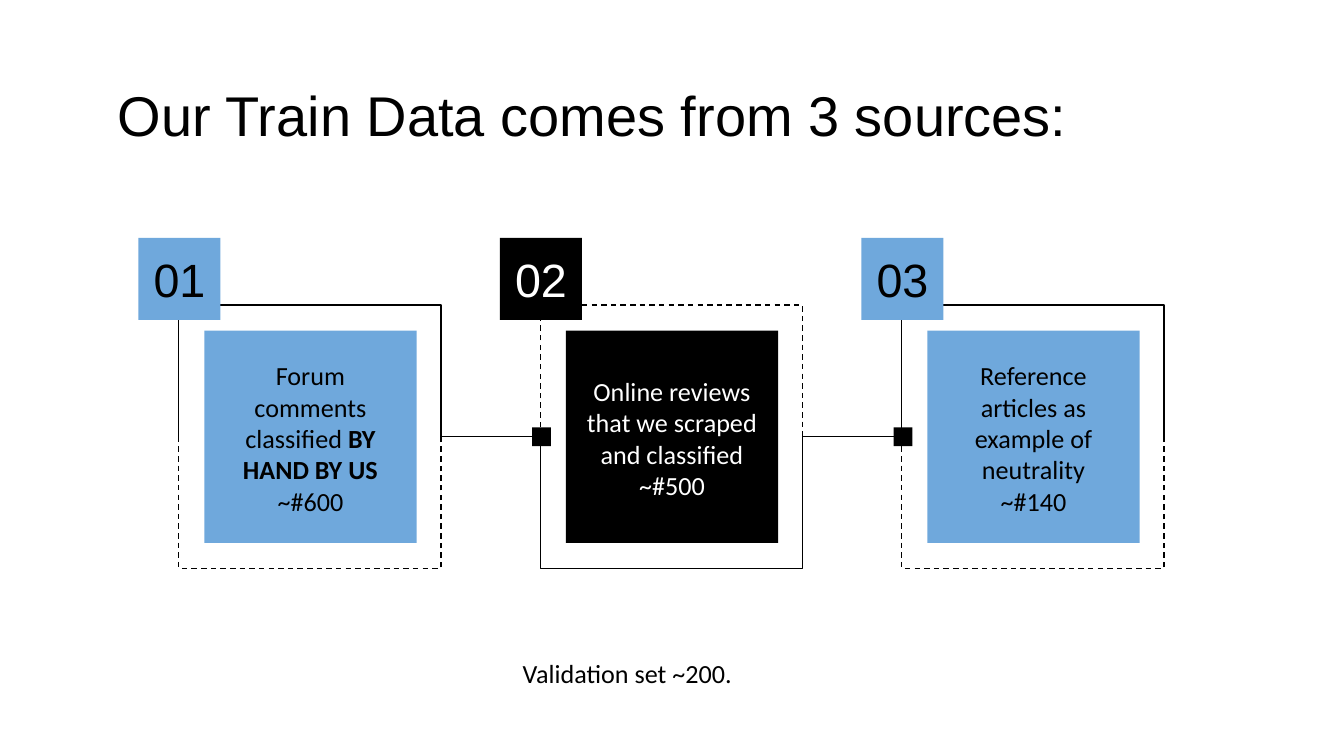
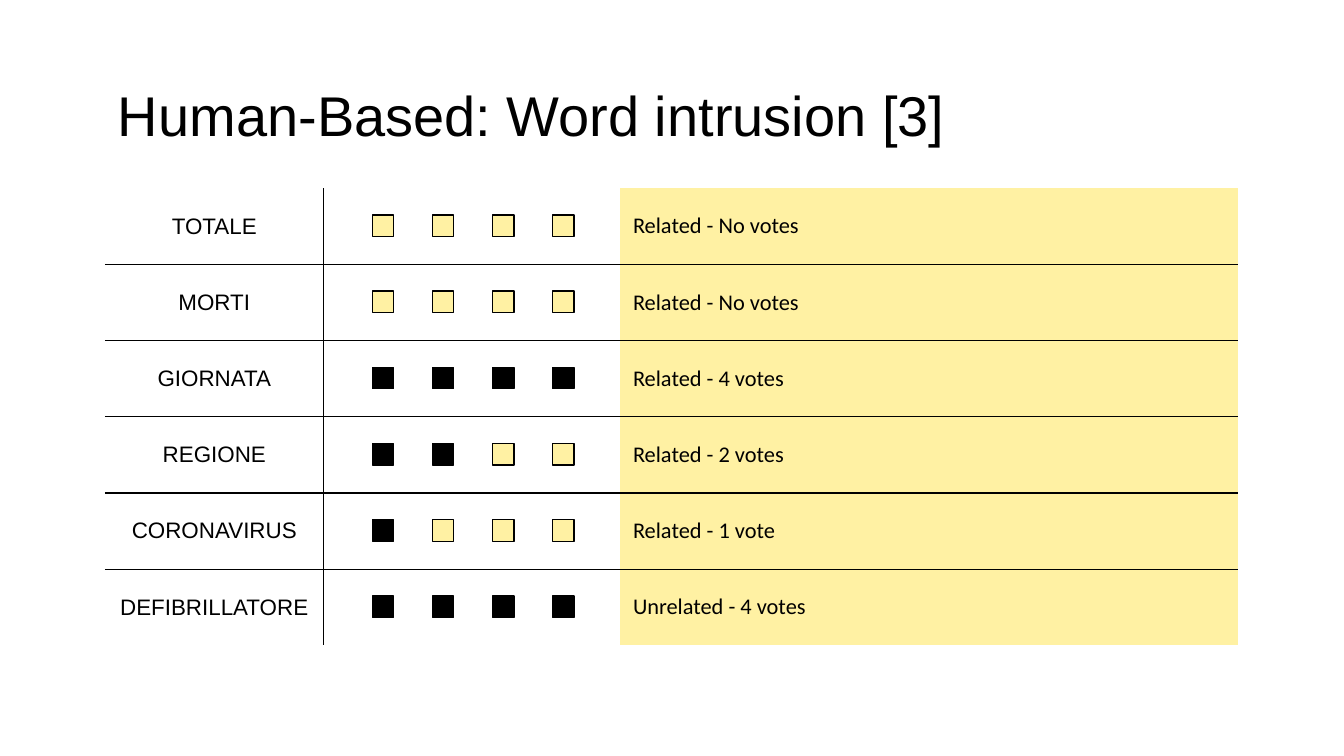
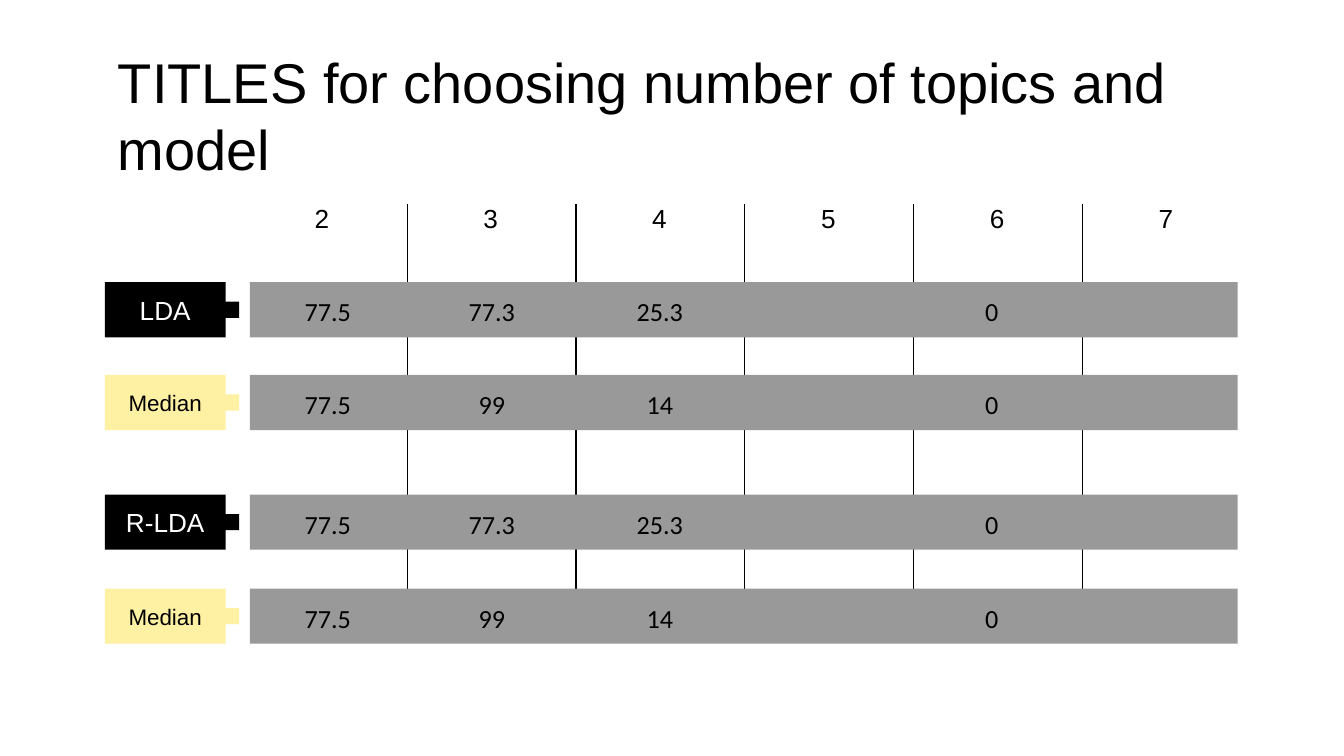
from lxml.etree import SubElement
from pptx import Presentation
from pptx.dml.color import RGBColor
from pptx.enum.dml import MSO_LINE as Dash
from pptx.enum.shapes import MSO_CONNECTOR as Conn, MSO_SHAPE as Kind
from pptx.enum.text import MSO_ANCHOR as Anchor, PP_ALIGN as Align
from pptx.oxml.ns import qn
from pptx.util import Inches, Pt

COLS, ROWS = 100, 56.25
INK, PAPER, BLUE, CREAM, GREY = "000000", "FFFFFF", "6FA8DC", "FFF1A3", "999999"
LINE = 0.75
LEFT, SPAN = 7.8, 84.3
HEAD = {"name": "Arial", "size": Pt(30)}
NUM = {"name": "Arial", "size": Pt(25)}
LABEL = {"name": "Arial", "size": Pt(14)}
SMALL = {"name": "Arial", "size": Pt(12)}
BODY = {"name": "Calibri", "size": Pt(14)}
NOTE = {"name": "Calibri", "size": Pt(12)}

STEPS = [
    ("01", BLUE, INK, ["Forum comments classified *BY HAND BY US*", "~#600"]),
    ("02", INK, PAPER, ["Online reviews that we scraped and classified", "~#500"]),
    ("03", BLUE, INK, ["Reference articles as example of neutrality", "~#140"]),
]
WORDS = [
    ("TOTALE", 0, "Related - No votes"),
    ("MORTI", 0, "Related - No votes"),
    ("GIORNATA", 4, "Related - 4 votes"),
    ("REGIONE", 2, "Related - 2 votes"),
    ("CORONAVIRUS", 1, "Related - 1 vote"),
    ("DEFIBRILLATORE", 4, "Unrelated - 4 votes"),
]
MEAN = ["77.5", "77.3", "25.3", "0"]
MEDIAN = ["77.5", "99", "14", "0"]
SCORES = [
    (21, "LDA", INK, PAPER, LABEL, MEAN),
    (27.9, "Median", CREAM, INK, SMALL, MEDIAN),
    (36.8, "R-LDA", INK, PAPER, LABEL, MEAN),
    (43.8, "Median", CREAM, INK, SMALL, MEDIAN),
]
SLOTS = [(18.6, 11.6), (30.3, 12.6), (43.3, 11.6), (55.4, 36.8)]


def grid(*cells):
    """Turn columns and rows of the slide grid into lengths."""
    return [Inches(cell / 10) for cell in cells]


def hue(code):
    """Return the colour for a hex string."""
    return RGBColor.from_string(code)


def apply(item, form):
    """Set attributes of an item from a dict."""
    for key, value in form.items():
        setattr(item, key, value)


def write(frame, paras, font, color=INK, align=Align.CENTER):
    """Fill a text frame; words between asterisks are bold."""
    for i, text in enumerate(paras):
        para = frame.paragraphs[0] if i == 0 else frame.add_paragraph()
        para.alignment = align
        for j, part in enumerate(text.split("*")):
            if part:
                run = para.add_run()
                run.text = part
                apply(run.font, {**font, "bold": j % 2 == 1})
                run.font.color.rgb = hue(color)


def pad(frame, anchor):
    """Give a text frame its margins, wrap and anchor."""
    sides = ("left", "right", "top", "bottom")
    apply(frame, {f"margin_{side}": Inches(0.1) for side in sides})
    apply(frame, {"word_wrap": True, "vertical_anchor": anchor})


def label(slide, area, paras, font, color=INK, align=Align.CENTER, anchor=Anchor.MIDDLE):
    """Add a text box."""
    frame = slide.shapes.add_textbox(*grid(*area)).text_frame
    pad(frame, anchor)
    write(frame, paras, font, color, align)


def block(slide, area, fill, edge=None):
    """Add a filled rectangle and return it."""
    shape = slide.shapes.add_shape(Kind.RECTANGLE, *grid(*area))
    shape.shadow.inherit = False
    shape.fill.solid()
    shape.fill.fore_color.rgb = hue(fill)
    if edge:
        stroke(shape.line, edge)
    else:
        shape.line.fill.background()
    return shape


def badge(slide, area, fill, text, font, color):
    """Add a rectangle with one centred line of text."""
    frame = block(slide, area, fill).text_frame
    pad(frame, Anchor.MIDDLE)
    write(frame, [text], font, color)


def stroke(line, color=INK, dash=None):
    """Style a line."""
    line.color.rgb = hue(color)
    apply(line, {"width": Pt(LINE), "dash_style": dash})


def link(slide, *ends):
    """Add a straight line between two points."""
    line = slide.shapes.add_connector(Conn.STRAIGHT, *grid(*ends))
    stroke(line.line)
    SubElement(line._element.spPr, qn("a:effectLst"))


def hook(slide, x, mid, edge, dash):
    """Add a half frame that opens at the middle row."""
    far = x + 19.5
    pen = slide.shapes.build_freeform(*grid(x, mid))
    pen.add_line_segments([grid(*spot) for spot in ((x, edge), (far, edge), (far, mid))], close=False)
    shape = pen.convert_to_shape()
    shape.shadow.inherit = False
    shape.fill.background()
    stroke(shape.line, dash=dash)


def border(cell, sides):
    """Draw the named sides of a cell and clear the rest."""
    props = cell._tc.get_or_add_tcPr()
    for side in "LRTB":
        line = SubElement(props, qn(f"a:ln{side}"), w=str(Pt(LINE)))
        if side in sides:
            fill = SubElement(line, qn("a:solidFill"))
            SubElement(fill, qn("a:srgbClr"), val=INK)
        else:
            SubElement(line, qn("a:noFill"))


def page(deck, title):
    """Add a blank slide with the shared title."""
    slide = deck.slides.add_slide(deck.slide_layouts[6])
    label(slide, (LEFT, 5.9, SPAN, 5.2), [title], HEAD, align=Align.LEFT)
    return slide


def flow(slide):
    """Draw the three linked sources."""
    gap, mid = 26.9, 32.5
    for i, (num, fill, color, paras) in enumerate(STEPS):
        x = 13.3 + i * gap
        block(slide, (x + 1.9, 24.6, 15.8, 15.8), fill)
        label(slide, (x + 1.9, 24.8, 15.8, 15.6), paras, BODY, color)
        dashes = (Dash.DASH, None) if i % 2 else (None, Dash.DASH)
        for edge, dash in zip((22.7, 42.3), dashes):
            hook(slide, x, mid, edge, dash)
        if i:
            link(slide, x - 7.4, mid, x, mid)
            block(slide, (x - 0.6, mid - 0.7, 1.4, 1.4), INK)
        badge(slide, (x - 3, 17.7, 6.1, 6.1), fill, num, NUM, color)
    label(slide, (37.9, 47.9, 22.8, 4.6), ["Validation set ~200."], BODY,
          align=Align.LEFT, anchor=Anchor.TOP)


def votes(slide):
    """Draw the word table and its vote squares."""
    top, high, widths = 14, 5.67, (16.3, 22, 46)
    size = len(WORDS)
    table = slide.shapes.add_table(size, 3, *grid(LEFT, top, SPAN, high * size)).table
    apply(table, {"first_row": False, "horz_banding": False})
    for col, wide in zip(table.columns, grid(*widths)):
        col.width = wide
    for i, (word, count, note) in enumerate(WORDS):
        table.rows[i].height = grid(high)[0]
        ends = ("T" if i else "") + ("B" if i < size - 1 else "")
        for j, (text, side) in enumerate(((word, "R"), ("", "L"), (note, ""))):
            cell = table.cell(i, j)
            border(cell, side + ends)
            cell.fill.background()
            apply(cell, {f"margin_{name}": Inches(0.1) for name in ("left", "right", "top", "bottom")})
            cell.vertical_anchor = Anchor.MIDDLE
            font, align = (NOTE, Align.LEFT) if j == 2 else (SMALL, Align.CENTER)
            write(cell.text_frame, [text], font, align=align)
        cell.fill.solid()
        cell.fill.fore_color.rgb = hue(CREAM)
        for k in range(4):
            area = (27.7 + k * 4.47, top + i * high + 2, 1.6, 1.6)
            block(slide, area, INK if k < count else CREAM, INK)


def scores(slide):
    """Draw the score bars by number of topics."""
    step, tall = 12.56, 4.1
    for i in range(6):
        label(slide, (18.6 + i * step, 13.8, 10.7, 4.8), [str(i + 2)], LABEL)
        if i < 5:
            x = 30.3 + i * step
            link(slide, x, 15.2, x, 46.5)
    for y, name, fill, color, font, values in SCORES:
        badge(slide, (LEFT, y, 9, tall), fill, name, font, color)
        block(slide, (15.5, y + 1.45, 2.3, 1.2), fill)
        block(slide, (18.6, y, 73.5, tall), GREY)
        for (x, wide), value in zip(SLOTS, values):
            label(slide, (x, y, wide, tall), [value], BODY, anchor=Anchor.TOP)


def main():
    """Build the deck."""
    deck = Presentation()
    deck.slide_width, deck.slide_height = grid(COLS, ROWS)
    flow(page(deck, "Our Train Data comes from 3 sources:"))
    votes(page(deck, "Human-Based: Word intrusion [3]"))
    scores(page(deck, "TITLES for choosing number of topics and model"))
    deck.save("out.pptx")


if __name__ == "__main__":
    main()
